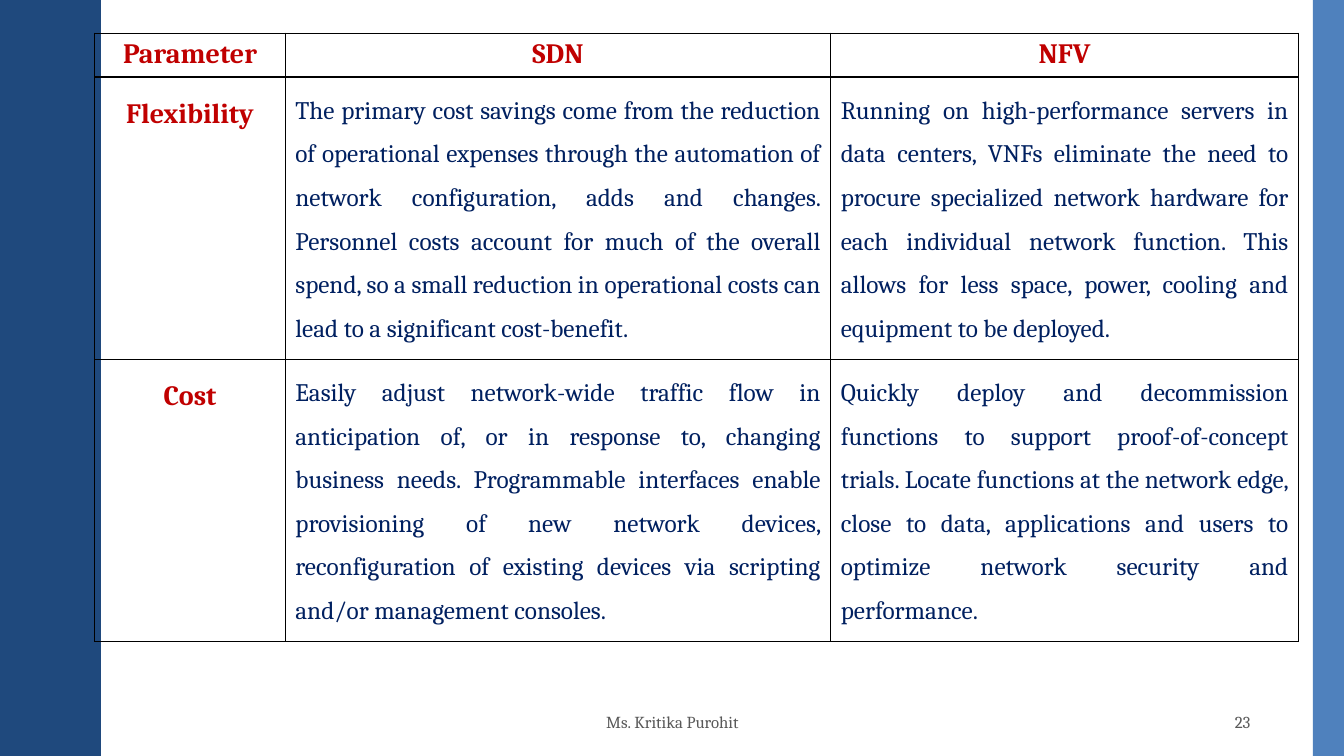
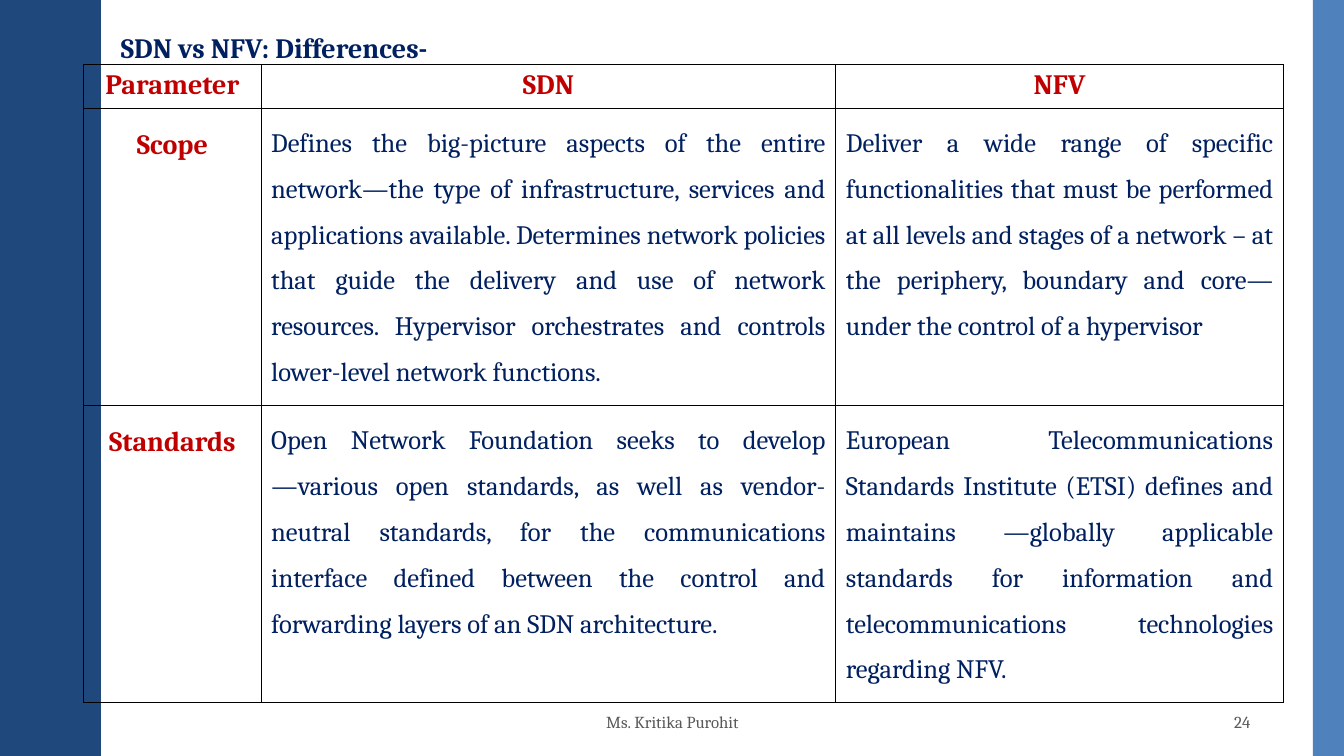
import math
import pptx
import pptx.util
import pptx.dml.color
import pptx.enum.shapes
import pptx.enum.text
from lxml import etree

Inches, Pt = pptx.util.Inches, pptx.util.Pt
RGBColor = pptx.dml.color.RGBColor
ALIGN = pptx.enum.text.PP_ALIGN
ANCHOR = pptx.enum.text.MSO_ANCHOR

# Shared look
NAVY = RGBColor(0x1F, 0x49, 0x7D)
BLUE = RGBColor(0x4F, 0x81, 0xBD)
RED = RGBColor(0xC0, 0x00, 0x00)
INK = RGBColor(0x00, 0x20, 0x60)
GREY = RGBColor(0x59, 0x59, 0x59)
FONT = "Cambria"
WIDE, HIGH = 13.33, 7.5
BAND = 0.31
MID, SWING, WAVE = 0.875, 0.095, HIGH / 5
STEPS = 120
HEAD = ["Parameter", "SDN", "NFV"]
DRAW = "http://schemas.openxmlformats.org/drawingml/2006/main"

# Content of each slide
pages = [
    dict(num=23, title=None, left=0.94, top=0.33, cols=[1.89, 5.41, 4.64],
         tall=2.72, size=18, rows=[
             ["Flexibility",
              "The primary cost savings come from the reduction of operational "
              "expenses through the automation of network configuration, adds and "
              "changes. Personnel costs account for much of the overall spend, so a "
              "small reduction in operational costs can lead to a significant "
              "cost-benefit.",
              "Running on high-performance servers in data centers, VNFs eliminate "
              "the need to procure specialized network hardware for each individual "
              "network function. This allows for less space, power, cooling and "
              "equipment to be deployed."],
             ["Cost",
              "Easily adjust network-wide traffic flow in anticipation of, or in "
              "response to, changing business needs. Programmable interfaces enable "
              "provisioning of new network devices, reconfiguration of existing "
              "devices via scripting and/or management consoles.",
              "Quickly deploy and decommission functions to support "
              "proof-of-concept trials. Locate functions at the network edge, close "
              "to data, applications and users to optimize network security and "
              "performance."]]),
    dict(num=24, title="SDN vs NFV: Differences-", left=0.83, top=0.64,
         cols=[1.76, 5.7, 4.44], tall=2.83, size=19, rows=[
             ["Scope",
              "Defines the big-picture aspects of the entire network\u2014the type of "
              "infrastructure, services and applications available. Determines "
              "network policies that guide the delivery and use of network "
              "resources. Hypervisor orchestrates and controls lower-level network "
              "functions.",
              "Deliver a wide range of specific functionalities that must be "
              "performed at all levels and stages of a network \u2013 at the periphery, "
              "boundary and core\u2014under the control of a hypervisor"],
             ["Standards",
              "Open Network Foundation seeks to develop \u2015various open standards, "
              "as well as vendor-neutral standards, for the communications interface "
              "defined between the control and forwarding layers of an SDN "
              "architecture.",
              "European Telecommunications Standards Institute (ETSI) defines and "
              "maintains \u2015globally applicable standards for information and "
              "telecommunications technologies regarding NFV."]]),
]


def write(frame, text, size, color, align, bold=False, lead=None):
    frame.word_wrap = True
    para = frame.paragraphs[0]
    para.text = text
    para.alignment = align
    para.line_spacing = lead
    font = para.font
    font.name, font.size, font.bold = FONT, Pt(size), bold
    font.color.rgb = color
    return para


def edge(cell):
    props = cell._tc.get_or_add_tcPr()
    for spot, side in enumerate(("lnL", "lnR", "lnT", "lnB")):
        line = etree.Element(f"{{{DRAW}}}{side}", w=str(Pt(1)))
        fill = etree.SubElement(line, f"{{{DRAW}}}solidFill")
        etree.SubElement(fill, f"{{{DRAW}}}srgbClr", val="000000")
        props.insert(spot, line)


deck = pptx.Presentation()
deck.slide_width, deck.slide_height = Inches(WIDE), Inches(HIGH)

for page in pages:
    # Title Only layout where there is a title, else Blank
    slide = deck.slides.add_slide(deck.slide_layouts[5 if page["title"] else 6])
    shapes = slide.shapes

    # Wavy left band and plain right band
    curve = []
    for step in range(STEPS + 1):
        y = HIGH * step / STEPS
        curve.append((MID - SWING * math.cos(math.tau * y / WAVE), y))
    build = shapes.build_freeform(0, 0, scale=Inches(1))
    build.add_line_segments(curve + [(0, HIGH)], close=True)
    wave = build.convert_to_shape()
    bar = shapes.add_shape(pptx.enum.shapes.MSO_SHAPE.RECTANGLE,
                           Inches(WIDE - BAND), 0, Inches(BAND), Inches(HIGH))
    for band, color in ((wave, NAVY), (bar, BLUE)):
        band.shadow.inherit = False
        band.fill.solid()
        band.fill.fore_color.rgb = color
        band.line.fill.background()

    # Title
    if page["title"]:
        title = shapes.title
        title.left, title.top = Inches(1.1), Inches(0.09)
        title.width, title.height = Inches(11.13), Inches(0.55)
        frame = title.text_frame
        frame.auto_size = pptx.enum.text.MSO_AUTO_SIZE.NONE
        frame.vertical_anchor = ANCHOR.TOP
        para = write(frame, page["title"], 20, INK, ALIGN.JUSTIFY, True, 1.5)
        para.space_before = Pt(7)

    # Footer and slide number
    for left, width, text, align in (
            (4.42, 4.5, "Ms. Kritika Purohit", ALIGN.CENTER),
            (9.42, 3.08, str(page["num"]), ALIGN.RIGHT)):
        box = shapes.add_textbox(Inches(left), Inches(6.97), Inches(width), Inches(0.38))
        box.text_frame.vertical_anchor = ANCHOR.MIDDLE
        write(box.text_frame, text, 12, GREY, align)

    # Comparison table
    rows = [HEAD] + page["rows"]
    highs = [0.42] + [page["tall"]] * len(page["rows"])
    table = shapes.add_table(len(rows), len(HEAD), Inches(page["left"]),
                             Inches(page["top"]), Inches(sum(page["cols"])),
                             Inches(sum(highs))).table
    table.first_row = table.horz_banding = False
    for col, width in zip(table.columns, page["cols"]):
        col.width = Inches(width)
    for r, (row, high) in enumerate(zip(rows, highs)):
        table.rows[r].height = Inches(high)
        for c, text in enumerate(row):
            cell = table.cell(r, c)
            cell.fill.background()
            edge(cell)
            lead = 1.5 if r else None
            if r and c:
                write(cell.text_frame, text, page["size"], INK, ALIGN.JUSTIFY, lead=lead)
            else:
                write(cell.text_frame, text, 20, RED, ALIGN.CENTER, True, lead)

deck.save("out.pptx")
